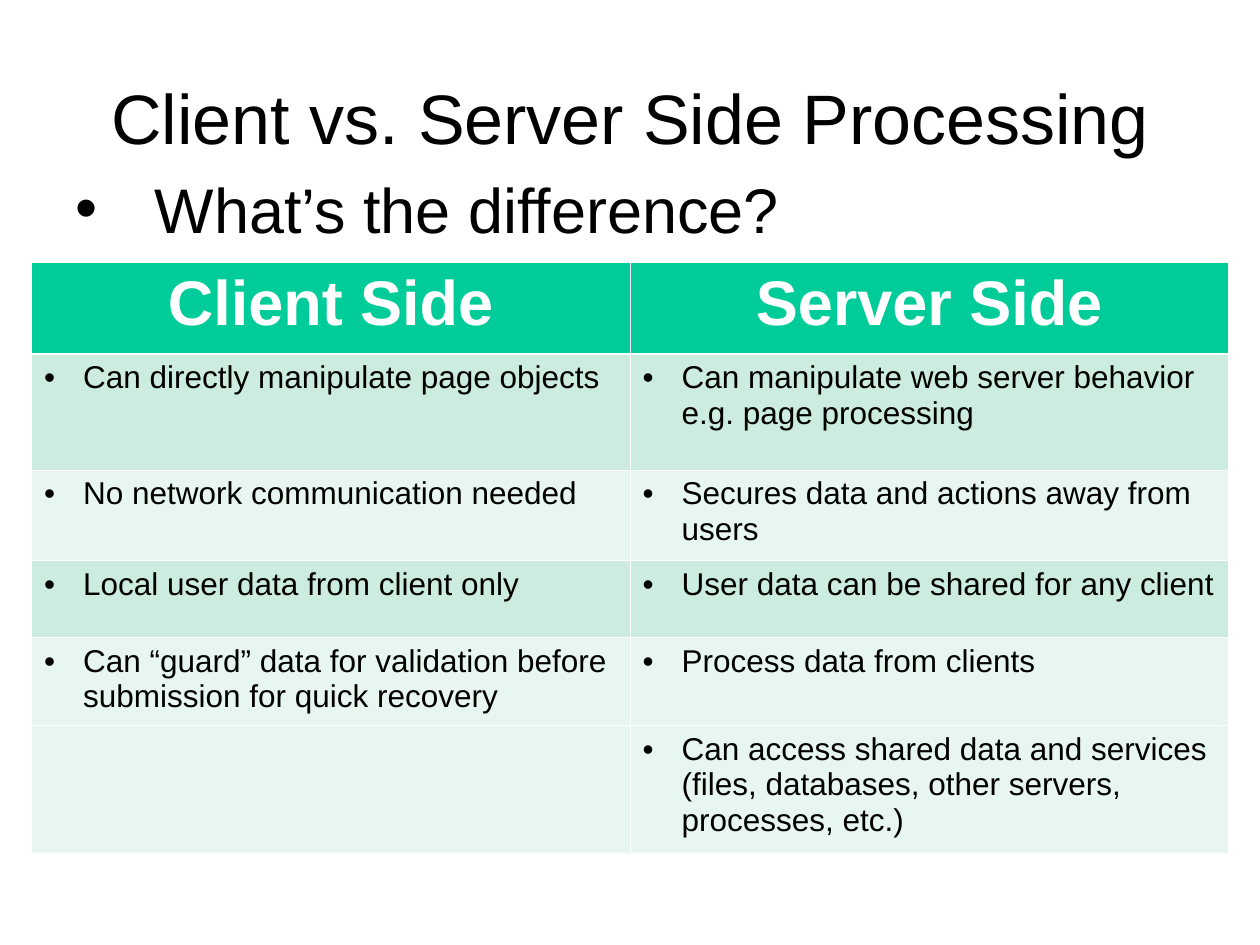
import pptx
import pptx.dml.color
import pptx.enum.text
import pptx.oxml
import pptx.oxml.ns
import pptx.util
from lxml import etree
from pptx.util import Inches

FONT = "Arial"
COLORS = {
    "text": "000000",
    "white": "FFFFFF",
    "header": "00CC99",
    "dark_band": "CBECDE",
    "light_band": "E7F6EF",
}
ALIGN = pptx.enum.text.PP_ALIGN
ANCHOR = pptx.enum.text.MSO_ANCHOR

HEADINGS = ("Client Side", "Server Side")
# Each row: height in inches, band colour, client text, server text
COMPARISON = [
    (0.92, "dark_band", "Can directly manipulate page objects",
     "Can manipulate web server behavior e.g. page processing"),
    (0.72, "light_band", "No network communication needed",
     "Secures data and actions away from users"),
    (0.61, "dark_band", "Local user data from client only",
     "User data can be shared for any client"),
    (0.7, "light_band",
     "Can “guard” data for validation before submission for quick recovery",
     "Process data from clients"),
    (1.01, "light_band", "",
     "Can access shared data and services "
     "(files, databases, other servers, processes, etc.)"),
]
HEADER_HEIGHT = 0.73
THIN, THICK = 0.45, 1.47


def rgb(name):
    return pptx.dml.color.RGBColor.from_string(COLORS[name])


def add_child(parent, tag, **attributes):
    return etree.SubElement(parent, pptx.oxml.ns.qn(tag), attributes)


def add_bullet(paragraph, indent):
    properties = paragraph._p.get_or_add_pPr()
    properties.set("marL", str(Inches(indent)))
    properties.set("indent", str(-Inches(indent)))
    color = add_child(properties, "a:buClr")
    add_child(color, "a:srgbClr", val=COLORS["text"])
    add_child(properties, "a:buFont", typeface=FONT)
    add_child(properties, "a:buChar", char="•")


def write_text(text_frame, text, size, color="text", bold=False,
               align=ALIGN.LEFT, indent=None, line_spacing=None, space_before=None):
    text_frame.word_wrap = True
    paragraph = text_frame.paragraphs[0]
    paragraph.alignment = align
    if line_spacing is not None:
        paragraph.line_spacing = line_spacing
    if space_before is not None:
        paragraph.space_before = pptx.util.Pt(space_before)
    if indent is not None:
        add_bullet(paragraph, indent)
    run = paragraph.add_run()
    run.text = text
    run.font.name = FONT
    run.font.size = pptx.util.Pt(size)
    run.font.bold = bold
    run.font.color.rgb = rgb(color)


def add_title(slide, left, top, width, height):
    text_frame = slide.shapes.add_textbox(left, top, width, height).text_frame
    text_frame.vertical_anchor = ANCHOR.MIDDLE
    write_text(text_frame, "Client vs. Server Side Processing", 40, align=ALIGN.CENTER)


def add_question(slide, left, top, width, height):
    text_frame = slide.shapes.add_textbox(left, top, width, height).text_frame
    write_text(text_frame, "What’s the difference?", 36, indent=0.63,
               line_spacing=0.8, space_before=5)


def style_cell(cell, fill, top=THIN, bottom=THIN):
    """Draw white borders, then fill: the schema wants lines before the fill."""
    properties = cell._tc.get_or_add_tcPr()
    widths = {"a:lnL": THIN, "a:lnR": THIN, "a:lnT": top, "a:lnB": bottom}
    for tag, width in widths.items():
        line = add_child(properties, tag, w=str(pptx.util.Pt(width)))
        solid = add_child(line, "a:solidFill")
        add_child(solid, "a:srgbClr", val=COLORS["white"])
    cell.fill.solid()
    cell.fill.fore_color.rgb = rgb(fill)


def add_comparison_table(slide, left, top, width, height):
    table = slide.shapes.add_table(
        len(COMPARISON) + 1, len(HEADINGS), left, top, width, height).table
    table.horz_banding = False
    for column in table.columns:
        column.width = width // len(HEADINGS)

    table.rows[0].height = Inches(HEADER_HEIGHT)
    for column, heading in enumerate(HEADINGS):
        cell = table.cell(0, column)
        style_cell(cell, "header", bottom=THICK)
        write_text(cell.text_frame, heading, 36, color="white", bold=True,
                   align=ALIGN.CENTER)

    for row, (row_height, band, *texts) in enumerate(COMPARISON, start=1):
        table.rows[row].height = Inches(row_height)
        for column, text in enumerate(texts):
            cell = table.cell(row, column)
            style_cell(cell, band, top=THICK if row == 1 else THIN)
            if text:
                write_text(cell.text_frame, text, 18, indent=0.31)


def main():
    presentation = pptx.Presentation()
    presentation.slide_width = Inches(10)
    presentation.slide_height = Inches(7.5)
    slide = presentation.slides.add_slide(presentation.slide_layouts[6])
    add_title(slide, Inches(0.5), Inches(0.3), Inches(9), Inches(1.25))
    add_question(slide, Inches(0.5), Inches(1.42), Inches(9), Inches(0.92))
    add_comparison_table(slide, Inches(0.25), Inches(2.08), Inches(9.5), Inches(4.69))
    presentation.save("out.pptx")


if __name__ == "__main__":
    main()
